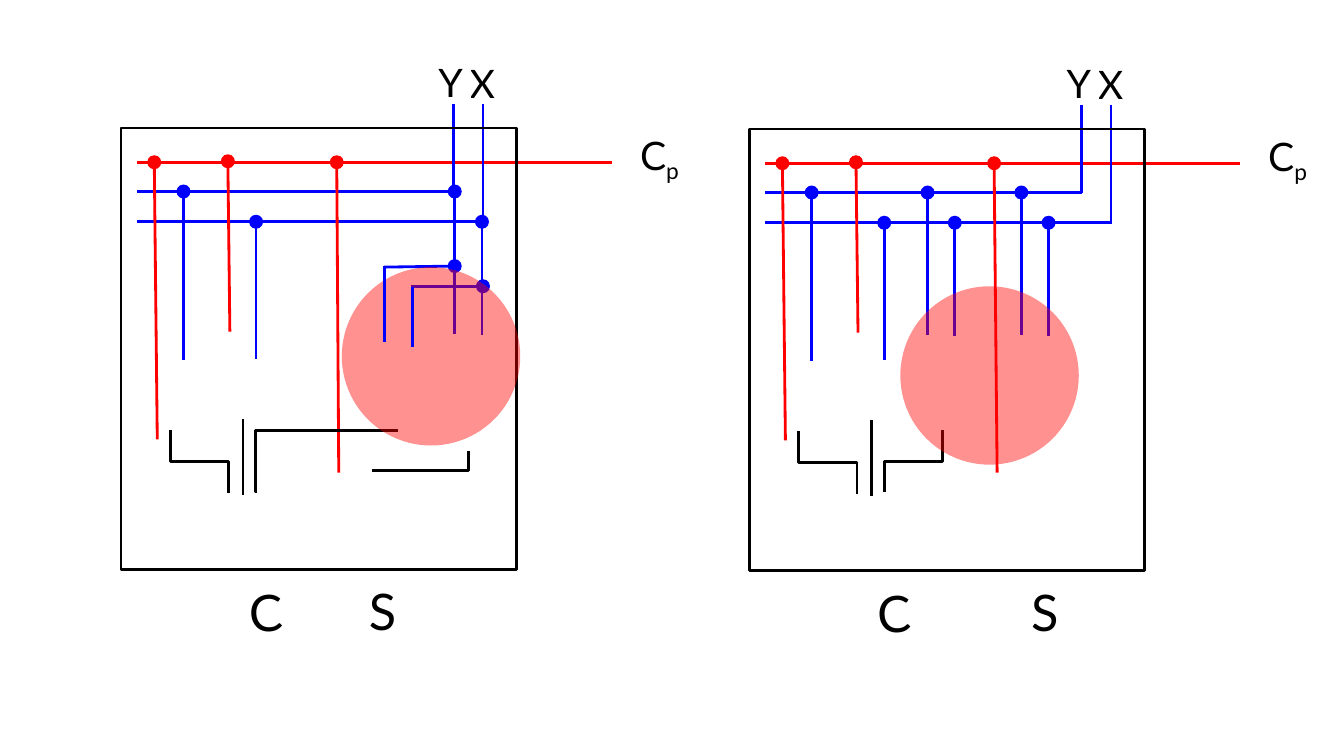
"""Draw two wired cells side by side, each with inputs, gates and a highlighted spot."""
from dataclasses import dataclass

import pptx
import pptx.dml.color
import pptx.enum.shapes
import pptx.enum.text
import pptx.oxml
import pptx.oxml.ns
import pptx.util

Inches = pptx.util.Inches
Shape = pptx.enum.shapes.MSO_SHAPE
Connector = pptx.enum.shapes.MSO_CONNECTOR
BLUE, RED, BLACK, WHITE = "0000FF", "FF0000", "000000", "FFFFFF"
LINE_WIDTH = 2
SPOT_SIZE = 1.77
PANEL_SHIFT = (6.23, 0.01)


@dataclass
class Wire:
    x1: float
    y1: float
    x2: float
    y2: float
    colour: str = BLUE
    dot: bool = False


@dataclass
class Bracket:
    left: float
    top: float
    width: float
    height: float
    turn: int = 90
    flipped: bool = False
    preset: str = "bentConnector3"
    bend: int = 50000


@dataclass
class Label:
    text: str
    left: float
    top: float
    width: float
    height: float
    size: int
    subscript: str = ""
    rotation: float = 0
    filled: bool = True


@dataclass
class Panel:
    origin: tuple[float, float]
    store_label: Label
    wires: list[Wire]
    brackets: list[Bracket]
    spot: tuple[float, float]
    front_wires: list[Wire]


def drop(x: float, y: float, end: float) -> Wire:
    """Return a blue vertical wire with a dot at its top."""
    return Wire(x, y, x, end, BLUE, True)


SHARED_LABELS = [
    Label("C", 2.37, 5.72, 0.51, 0.71, 36, rotation=357.2, filled=False),
    Label("X", 4.56, 0.54, 0.43, 0.57, 28),
    Label("Y", 4.25, 0.53, 0.42, 0.57, 28),
    Label("C", 6.25, 1.25, 0.6, 0.57, 28, subscript="p"),
]
SHARED_WIRES = [
    Wire(4.79, 2.2, 1.36, 2.2),
    Wire(4.5, 1.9, 1.36, 1.9),
    Wire(6.07, 1.61, 1.36, 1.61, RED),
    drop(1.82, 1.9, 3.57),
    drop(2.54, 2.2, 3.56),
    Wire(1.53, 1.61, 1.56, 4.36, RED, True),
    Wire(2.26, 1.6, 2.28, 3.29, RED, True),
    Wire(2.41, 4.16, 2.41, 4.91, BLACK),
    Wire(4.79, 1.03, 4.79, 2.21),
    Wire(4.5, 1.03, 4.5, 1.9),
]
SHARED_BRACKET = Bracket(1.67, 4.29, 0.62, 0.58, flipped=True)

PANELS = [
    Panel(
        origin=(0, 0),
        store_label=Label("S", 3.56, 5.71, 0.47, 0.71, 36),
        wires=[
            Wire(3.34, 1.61, 3.36, 4.69, RED, True),
            drop(4.51, 1.9, 3.31),
            drop(4.78, 2.2, 3.32),
            Wire(4.51, 2.64, 3.81, 2.65, BLUE, True),
            Wire(4.79, 2.84, 4.08, 2.84, BLUE, True),
        ],
        brackets=[
            Bracket(2.55, 4.27, 1.4, 0.61, 180, True, bend=101000),
            Bracket(4.07, 4.09, 0.2, 0.96, preset="bentConnector2"),
        ],
        spot=(3.39, 2.65),
        front_wires=[Wire(4.09, 2.85, 4.09, 3.44), Wire(3.81, 2.64, 3.81, 3.39)],
    ),
    Panel(
        origin=PANEL_SHIFT,
        store_label=Label("S", 3.9, 5.71, 0.47, 0.71, 36),
        wires=[Wire(3.63, 1.61, 3.66, 4.68, RED, True)]
        + [drop(x, 1.9, 3.31) for x in (2.97, 3.9)]
        + [drop(x, 2.2, 3.32) for x in (3.24, 4.17)],
        brackets=[Bracket(2.52, 4.28, 0.62, 0.57)],
        spot=(2.7, 2.83),
        front_wires=[],
    ),
]


def paint(target, colour: str) -> None:
    """Give a fill a solid colour."""
    target.solid()
    target.fore_color.rgb = pptx.dml.color.RGBColor.from_string(colour)


def add_element(parent, tag: str, **attributes: str):
    """Append an empty drawing element with the given attributes."""
    element = pptx.oxml.ns.qn(tag)
    child = parent.makeelement(element, attributes)
    parent.append(child)
    return child


def draw_connector(page, kind, x1: float, y1: float, x2: float, y2: float, colour: str):
    """Draw a plain connector without shadow."""
    connector = page.shapes.add_connector(kind, Inches(x1), Inches(y1), Inches(x2), Inches(y2))
    paint(connector.line.fill, colour)
    connector.line.width = pptx.util.Pt(LINE_WIDTH)
    add_element(connector._element.spPr, "a:effectLst")
    return connector


def draw_wire(page, wire: Wire, dx: float, dy: float) -> None:
    """Draw a straight wire, with a dot at its start if asked."""
    connector = draw_connector(page, Connector.STRAIGHT, wire.x1 + dx, wire.y1 + dy,
                               wire.x2 + dx, wire.y2 + dy, wire.colour)
    if wire.dot:
        add_element(connector.line._get_or_add_ln(), "a:headEnd", type="oval", w="lg", len="lg")


def draw_bracket(page, bracket: Bracket, dx: float, dy: float) -> None:
    """Draw a turned elbow connector."""
    left, top = bracket.left + dx, bracket.top + dy
    start, end = top, top + bracket.height
    if bracket.flipped:
        start, end = end, start
    connector = draw_connector(page, Connector.ELBOW, left, start, left + bracket.width, end, BLACK)
    properties = connector._element.spPr
    properties.find(pptx.oxml.ns.qn("a:xfrm")).set("rot", str(bracket.turn * 60000))
    geometry = properties.find(pptx.oxml.ns.qn("a:prstGeom"))
    geometry.set("prst", bracket.preset)
    if bracket.preset == "bentConnector3":
        guides = geometry.find(pptx.oxml.ns.qn("a:avLst"))
        add_element(guides, "a:gd", name="adj1", fmla=f"val {bracket.bend}")


def draw_label(page, label: Label, dx: float, dy: float) -> None:
    """Draw a label with an optional subscript."""
    box = page.shapes.add_textbox(Inches(label.left + dx), Inches(label.top + dy),
                                  Inches(label.width), Inches(label.height))
    box.rotation = label.rotation
    if label.filled:
        paint(box.fill, WHITE)
    box.text_frame.word_wrap = False
    box.text_frame.auto_size = pptx.enum.text.MSO_AUTO_SIZE.SHAPE_TO_FIT_TEXT
    para = box.text_frame.paragraphs[0]
    for text in filter(None, (label.text, label.subscript)):
        span = para.add_run()
        span.text = text
        span.font.name = "Lato"
        span.font.size = pptx.util.Pt(label.size)
        paint(span.font.fill, BLACK)
    if label.subscript:
        span.font._element.set("baseline", "-25000")


def draw_panel(page, panel: Panel) -> None:
    """Draw one cell with its labels, wires, frame and spot."""
    dx, dy = panel.origin
    for label in SHARED_LABELS + [panel.store_label]:
        draw_label(page, label, dx, dy)
    for wire in SHARED_WIRES + panel.wires:
        draw_wire(page, wire, dx, dy)
    for bracket in [SHARED_BRACKET] + panel.brackets:
        draw_bracket(page, bracket, dx, dy)
    frame = page.shapes.add_shape(Shape.RECTANGLE, Inches(1.2 + dx), Inches(1.27 + dy),
                                  Inches(3.92), Inches(4.38))
    frame.shadow.inherit = False
    frame.fill.background()
    paint(frame.line.fill, BLACK)
    frame.line.width = pptx.util.Pt(LINE_WIDTH)
    spot = page.shapes.add_shape(Shape.OVAL, Inches(panel.spot[0] + dx), Inches(panel.spot[1] + dy),
                                 Inches(SPOT_SIZE), Inches(SPOT_SIZE))
    spot.shadow.inherit = False
    spot.line.fill.background()
    paint(spot.fill, RED)
    add_element(next(spot._element.spPr.iter(pptx.oxml.ns.qn("a:srgbClr"))), "a:alpha", val="43000")
    for wire in panel.front_wires:
        draw_wire(page, wire, dx, dy)


def main() -> None:
    """Build and save the deck."""
    deck = pptx.Presentation()
    deck.slide_width, deck.slide_height = Inches(13.33), Inches(7.5)
    page = deck.slides.add_slide(deck.slide_layouts[6])
    for panel in PANELS:
        draw_panel(page, panel)
    deck.save("out.pptx")


if __name__ == "__main__":
    main()
